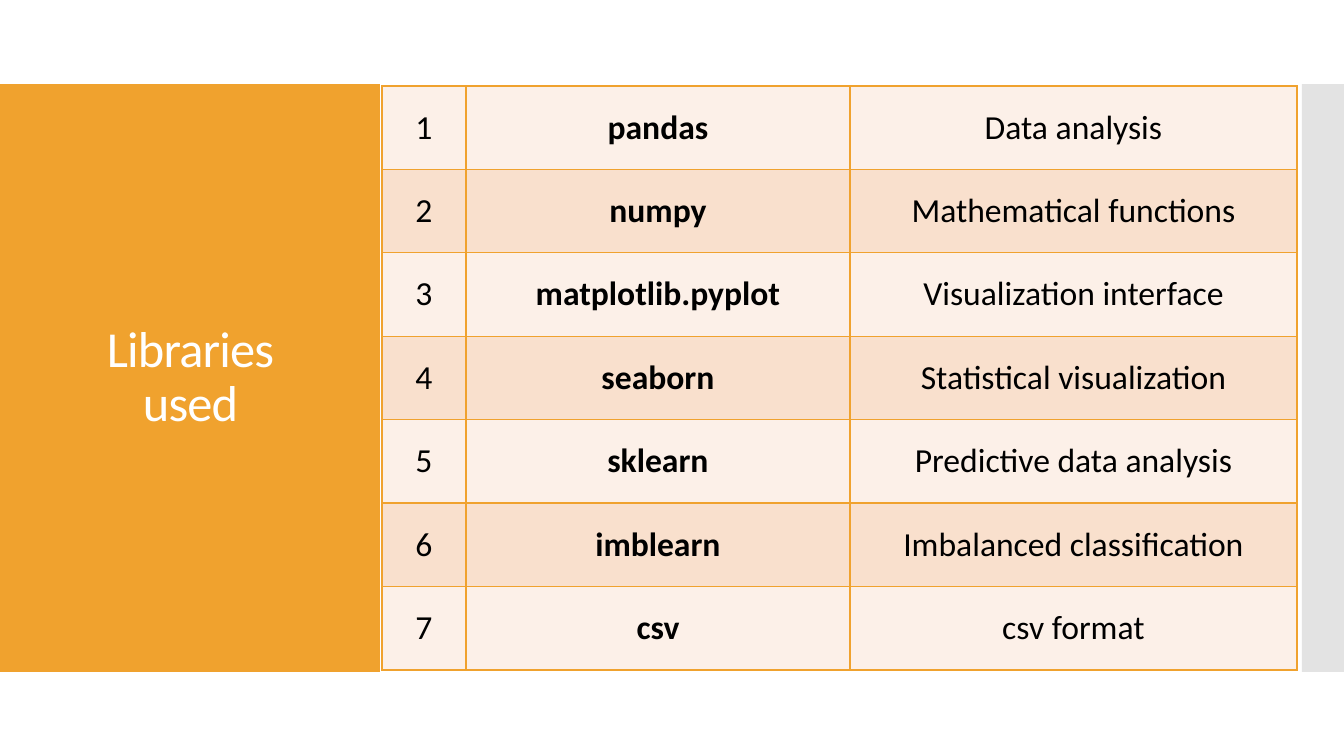
from lxml.etree import SubElement as Sub
from pptx import Presentation
from pptx.dml.color import RGBColor
from pptx.enum.shapes import MSO_SHAPE as Shape
from pptx.enum.text import MSO_ANCHOR as Anchor, PP_ALIGN as Align
from pptx.oxml.ns import qn
from pptx.util import Pt

SCALE = 914400 / 100.8
FONT = "Calibri"
ORANGE = "F0A22E"
BANDS = ("FCF0E8", "F9E0CD")
COLS = (84, 384, 447)
LIBS = (
    ("pandas", "Data analysis"),
    ("numpy", "Mathematical functions"),
    ("matplotlib.pyplot", "Visualization interface"),
    ("seaborn", "Statistical visualization"),
    ("sklearn", "Predictive data analysis"),
    ("imblearn", "Imbalanced classification"),
    ("csv", "csv format"),
)


def px(n):
    return round(n * SCALE)


def paint(fmt, color):
    fmt.solid()
    fmt.fore_color.rgb = RGBColor.from_string(color)


def write(para, text, size, color, bold=False):
    run = para.add_run()
    run.text = text
    font = run.font
    font.name, font.size, font.bold = FONT, Pt(size), bold
    paint(font.fill, color)
    return run


def panel(slide, box, color, alpha=None):
    rect = slide.shapes.add_shape(Shape.RECTANGLE, *map(px, box))
    rect.shadow.inherit = False
    rect.line.fill.background()
    paint(rect.fill, color)
    if alpha:
        tint = rect._element.spPr.find(".//" + qn("a:srgbClr"))
        Sub(tint, qn("a:alpha"), val=str(alpha * 1000))


def heading(slide, box, lines):
    x, y, w, h = box
    panel(slide, box, ORANGE)
    title = slide.shapes.title
    slide.shapes._spTree.append(title._element)
    title.left, title.top = px(x + 28), px(y + 40)
    title.width, title.height = px(w - 55), px(h - 80)
    frame = title.text_frame
    frame.word_wrap = True
    frame.vertical_anchor = Anchor.MIDDLE
    para = frame.paragraphs[0]
    para.alignment = Align.CENTER
    para.line_spacing = 0.9
    for i, line in enumerate(lines):
        if i:
            para.add_line_break()
        run = write(para, line, 36, "FFFFFF")
        run.font._element.set("spc", "-60")


def border(cell):
    props = cell._tc.get_or_add_tcPr()
    for side in "LRTB":
        line = Sub(props, qn("a:ln" + side), w=str(Pt(1)))
        fill = Sub(line, qn("a:solidFill"))
        Sub(fill, qn("a:srgbClr"), val=ORANGE)


def grid(slide, box):
    frame = slide.shapes.add_table(len(LIBS), len(COLS), *map(px, box))
    table = frame.table
    table.first_row = table.horz_banding = False
    for col, width in zip(table.columns, COLS):
        col.width = px(width)
    for r, (name, use) in enumerate(LIBS):
        for c, text in enumerate((str(r + 1), name, use)):
            cell = table.cell(r, c)
            border(cell)
            paint(cell.fill, BANDS[r % 2])
            cell.vertical_anchor = Anchor.MIDDLE
            para = cell.text_frame.paragraphs[0]
            para.alignment = Align.CENTER
            write(para, text, 24, "000000", bold=c == 1)


def main():
    deck = Presentation()
    deck.slide_width, deck.slide_height = px(1344), px(756)
    slide = deck.slides.add_slide(deck.slide_layouts[5])
    panel(slide, (1302, 84, 42, 588), "C8C8C8", 50)
    heading(slide, (0, 84, 380, 588), ("Libraries", "used"))
    grid(slide, (382, 86, sum(COLS), 584))
    deck.save("out.pptx")


if __name__ == "__main__":
    main()
